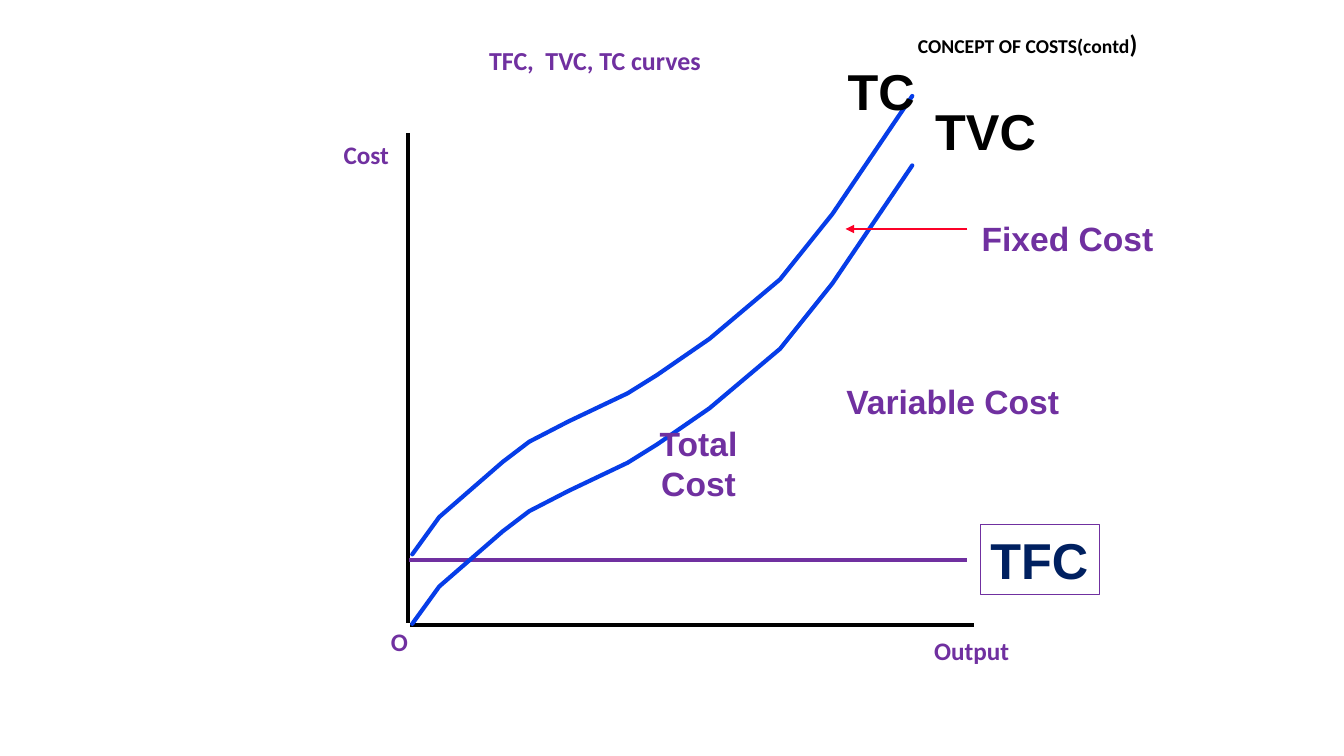
import pptx
import pptx.dml.color
import pptx.enum.dml
import pptx.enum.shapes
import pptx.enum.text
import pptx.oxml.ns
import pptx.util
from lxml import etree

Cm = pptx.util.Cm
Pt = pptx.util.Pt
ALIGN = pptx.enum.text.PP_ALIGN

COLORS = {
    "black": "000000",
    "purple": "7030A0",
    "navy": "002060",
    "curve": "063DE8",
    "arrow": "FC0128",
}

# Total variable cost in cm; total cost is the same curve moved up
TVC_POINTS = [
    (10.39, 15.72), (11.07, 14.78), (12.67, 13.39), (13.34, 12.88),
    (14.33, 12.37), (15.82, 11.66), (16.56, 11.2), (17.88, 10.29),
    (19.66, 8.79), (20.98, 7.14), (22.99, 4.17),
]
FIXED_COST_HEIGHT = 1.75


def rgb(color):
    return pptx.dml.color.RGBColor.from_string(COLORS[color])


def add_xml(parent, tag, **attributes):
    return etree.SubElement(parent, pptx.oxml.ns.qn(tag), **attributes)


def add_run(paragraph, text, font, size, color):
    run = paragraph.add_run()
    run.text = text
    run.font.name = font
    run.font.size = Pt(size)
    run.font.bold = True
    run.font.color.rgb = rgb(color)


def write(shape, text, font="Arial", size=24, color="purple",
          align=ALIGN.LEFT, wrap=False):
    frame = shape.text_frame
    frame.word_wrap = wrap
    frame.auto_size = pptx.enum.text.MSO_AUTO_SIZE.NONE
    frame.vertical_anchor = pptx.enum.text.MSO_ANCHOR.TOP
    for index, line in enumerate(text.split("\n")):
        paragraph = frame.paragraphs[0] if index == 0 else frame.add_paragraph()
        paragraph.alignment = align
        paragraph.space_before = Pt(0)
        add_run(paragraph, line, font, size, color)


def place(shape, left, top, width, height):
    shape.left, shape.top = Cm(left), Cm(top)
    shape.width, shape.height = Cm(width), Cm(height)


def add_label(slide, text, left, top, width, height, **text_format):
    box = slide.shapes.add_textbox(Cm(left), Cm(top), Cm(width), Cm(height))
    write(box, text, **text_format)


def add_line(slide, start, end, color, width=3, arrow=False):
    line = slide.shapes.add_connector(
        pptx.enum.shapes.MSO_CONNECTOR.STRAIGHT,
        Cm(start[0]), Cm(start[1]), Cm(end[0]), Cm(end[1]))
    line.line.color.rgb = rgb(color)
    line.line.width = Pt(width)
    if arrow:
        add_xml(line.line._get_or_add_ln(), "a:tailEnd", type="triangle")
    add_xml(line._element.spPr, "a:effectLst")


def add_curve(slide, points):
    corners = [(Cm(x), Cm(y)) for x, y in points]
    builder = slide.shapes.build_freeform(*corners[0])
    builder.add_line_segments(corners[1:], close=False)
    curve = builder.convert_to_shape()
    curve.shadow.inherit = False
    curve.fill.background()
    curve.line.color.rgb = rgb("curve")
    curve.line.width = Pt(3)
    curve.line._get_or_add_ln().set("cap", "rnd")


def add_framed_label(slide, text, left, top, width, height, **text_format):
    box = slide.shapes.add_shape(
        pptx.enum.shapes.MSO_SHAPE.RECTANGLE,
        Cm(left), Cm(top), Cm(width), Cm(height))
    box.shadow.inherit = False
    box.fill.background()
    box.line.color.rgb = rgb("purple")
    box.line.width = Pt(1)
    write(box, text, **text_format)


def add_headings(slide):
    title = slide.shapes.title
    place(title, 22.7, 0.58, 6.22, 1.02)
    write(title, "CONCEPT OF COSTS(contd", font="Calibri", size=14,
          color="black", align=ALIGN.RIGHT)
    add_run(title.text_frame.paragraphs[0], ")", "Calibri", 18, "black")

    subtitle = slide.placeholders[1]
    place(subtitle, 6.95, 0.99, 16.08, 0.99)
    properties = subtitle.text_frame.paragraphs[0]._p.get_or_add_pPr()
    properties.set("marL", "0")
    properties.set("indent", "0")
    add_xml(properties, "a:buNone")
    write(subtitle, "TFC,  TVC, TC curves", font="Calibri", size=18.5,
          align=ALIGN.CENTER, wrap=True)


def main():
    presentation = pptx.Presentation()
    presentation.slide_width = Cm(33.87)
    presentation.slide_height = Cm(19.05)
    slide = presentation.slides.add_slide(presentation.slide_layouts[1])
    add_headings(slide)

    # Axes
    add_line(slide, (10.29, 3.35), (10.29, 15.7), "black")
    add_line(slide, (10.34, 15.75), (24.54, 15.75), "black")
    axis_format = {"font": "Calibri", "size": 18}
    add_label(slide, "Cost", 8.41, 3.38, 1.8, 1.02, **axis_format)
    add_label(slide, "Output", 23.29, 15.88, 2.57, 1.02, **axis_format)
    add_label(slide, "O", 9.6, 15.67, 1, 1.02, **axis_format)

    # Fixed cost line
    add_line(slide, (10.31, 14.12), (24.36, 14.12), "purple")
    add_framed_label(slide, "TFC", 24.71, 13.21, 3, 1.78,
                     size=36, color="navy")

    # Cost curves
    add_curve(slide, [(x, y - FIXED_COST_HEIGHT) for x, y in TVC_POINTS])
    add_curve(slide, TVC_POINTS)
    add_label(slide, "TC", 21.11, 1.4, 2.21, 1.78, size=36, color="black")
    add_label(slide, "TVC", 23.32, 2.39, 3.07, 1.78, size=36, color="black")

    # Explanations
    add_line(slide, (24.38, 5.77), (21.31, 5.77), "arrow", width=2, arrow=True)
    add_label(slide, "Fixed Cost", 24.49, 5.36, 5.13, 1.27, wrap=True)
    add_label(slide, "Variable Cost", 21.08, 9.47, 7.75, 1.27, wrap=True)
    add_label(slide, "Total\nCost", 16.36, 10.52, 2.49, 2.31,
              align=ALIGN.CENTER)

    presentation.save("out.pptx")


if __name__ == "__main__":
    main()
